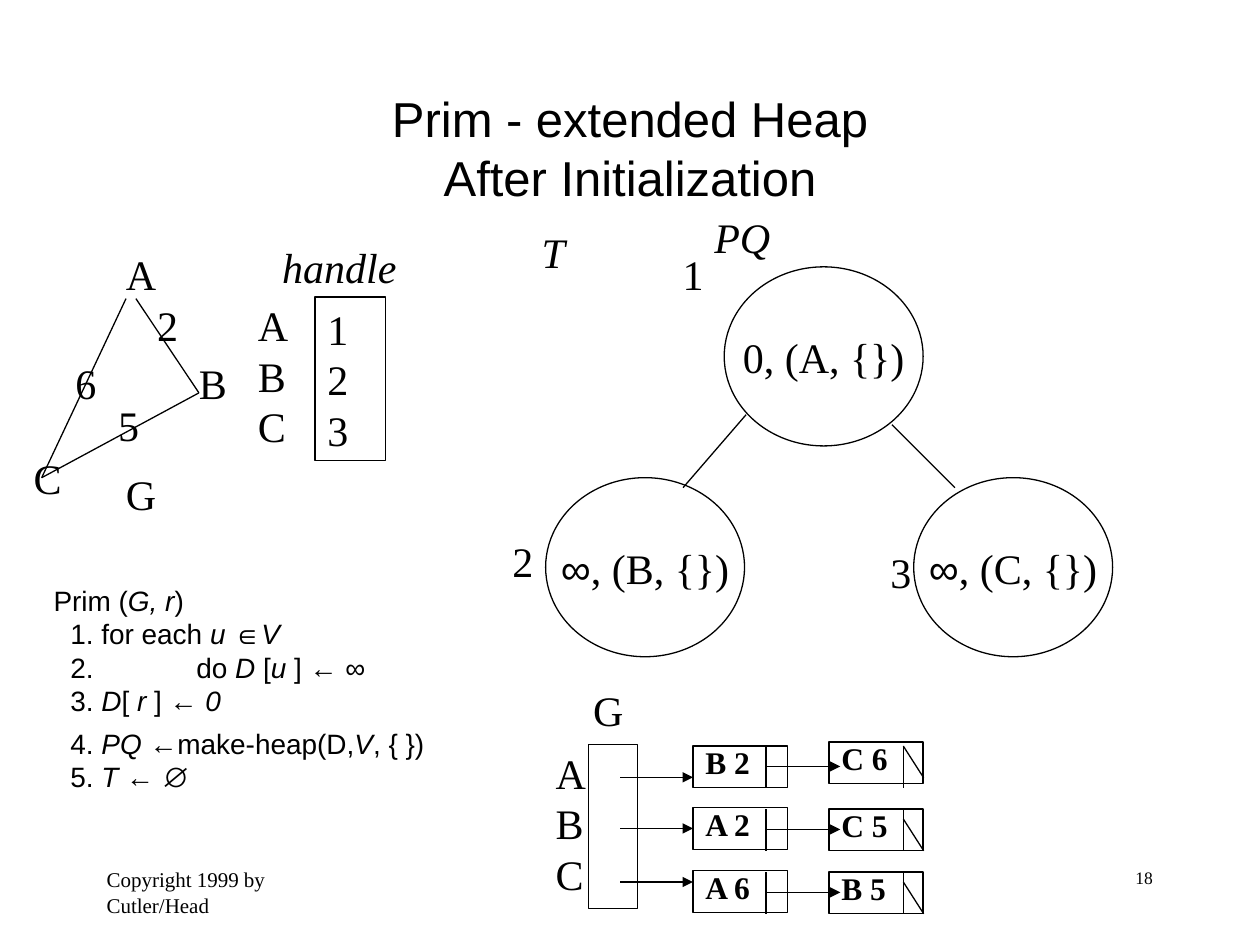
"""Build the slide on Prim's algorithm with an extended heap after set-up."""
from dataclasses import dataclass
from typing import Optional

from lxml.etree import SubElement
from pptx import Presentation
from pptx.dml.color import RGBColor
from pptx.enum.shapes import MSO_CONNECTOR, MSO_SHAPE
from pptx.enum.text import MSO_ANCHOR, PP_ALIGN
from pptx.oxml.ns import qn
from pptx.util import Cm, Pt

HUES = {"ink": "000000"}
INK = RGBColor.from_string(HUES["ink"])
ROMAN, SANS = "Times New Roman", "Arial"


@dataclass(frozen=True)
class Style:
    """Look of a text block."""
    size: float = 24
    face: str = ROMAN
    bold: bool = False
    ital: bool = False
    align: PP_ALIGN = PP_ALIGN.LEFT
    mid: bool = False
    wrap: bool = False
    pitch: Optional[float] = None


@dataclass(frozen=True)
class Label:
    """Text with its place in centimetres."""
    text: str
    x: float
    y: float
    w: float = 0.91
    h: float = 1.27
    style: Style = Style()


@dataclass(frozen=True)
class Node:
    """Heap node with its key and its pair."""
    key: str
    pair: str
    x: float
    y: float


@dataclass(frozen=True)
class Step:
    """Line of the code; stars enclose italics."""
    text: str
    left: float = 0.97
    gap: float = 0


@dataclass(frozen=True)
class Row:
    """Adjacency row: arrow height, two cells and the slash top."""
    arrow: float
    near: str
    near_y: float
    far: str
    far_y: float
    top: float
    slash: float


SLANT = Style(ital=True)
CELL = Style(18, bold=True, wrap=True, pitch=0.75)
ROUND = Style(align=PP_ALIGN.CENTER, mid=True)
CODE = Style(16, SANS, wrap=True)

LABELS = [
    Label("Prim - extended Heap\vAfter Initialization", 1.9, 1.07, 21.6, 3.81,
          Style(28, SANS, align=PP_ALIGN.CENTER, mid=True, wrap=True)),
    Label("handle", 5.44, 4.75, 2.95, style=SLANT),
    Label("A\nB\nC", 4.95, 5.92, 1.12, 3.3),
    Label("T", 10.67, 4.44, 0.97, style=SLANT),
    Label("PQ", 14.15, 4.14, 1.63, style=SLANT),
    Label("1", 13.51, 4.88),
    Label("2", 10.08, 10.67),
    Label("3", 17.7, 10.9),
    Label("A", 2.29, 4.88, 1.12),
    Label("B", 3.76, 7.09, 1.07),
    Label("C", 0.43, 8.99, 1.07),
    Label("2", 2.92, 5.92),
    Label("5", 2.13, 7.92),
    Label("6", 1.27, 7.09),
    Label("G", 2.29, 9.32, 1.12),
    Label("A\nB\nC", 10.95, 14.94, 1.12, 3.3),
    Label("G", 11.71, 13.67, 1.12),
    Label("18", 18.21, 17.35, 5.28,
          style=Style(10, align=PP_ALIGN.RIGHT, wrap=True)),
    Label("Copyright 1999 by Cutler/Head", 1.9, 17.35, 5.28,
          style=Style(12, wrap=True)),
]
NODES = [
    Node("0", ", (A, {})", 14.6, 5.38),
    Node("∞", ", (B, {})", 11, 9.63),
    Node("∞", ", (C, {})", 18.42, 9.63),
]
EDGES = [
    (15.04, 8.36, 13.77, 9.83),
    (17.98, 8.56, 19.25, 9.83),
    (2.54, 6.02, 0.84, 9.63),
    (2.74, 6.02, 4.01, 7.92),
    (4.01, 7.92, 0.84, 9.63),
]
STEPS = [
    Step("Prim (*G, r*)", 0.63),
    Step("1. for each *u *∈*V*"),
    Step("2.\tdo *D* [*u* ] ← ∞"),
    Step("3. *D*[ *r *] ← *0*"),
    Step("4. *PQ *←make-heap(D,*V*, { })", gap=5),
    Step("5. *T *← ∅"),
]
ROWS = [
    Row(15.67, "B 2", 15.04, "C 6", 14.96, 15.04, 15.04),
    Row(16.7, "A 2", 16.28, "C 5", 16.31, 16.31, 16.51),
    Row(17.78, "A 6", 17.55, "B 5", 17.58, 17.58, 17.78),
]


def format_para(para, style: Style) -> None:
    """Set the look of one paragraph."""
    para.alignment = style.align
    if style.pitch:
        para.line_spacing = style.pitch
    font = para.font
    font.size, font.name = Pt(style.size), style.face
    font.bold, font.italic = style.bold, style.ital
    font.color.rgb = INK


def set_frame(shape, style: Style):
    """Prepare and return the text frame."""
    frame = shape.text_frame
    frame.word_wrap = style.wrap
    frame.vertical_anchor = MSO_ANCHOR.MIDDLE if style.mid else MSO_ANCHOR.TOP
    return frame


def write(shape, text: str, style: Style) -> None:
    """Fill a shape with one paragraph a line."""
    frame = set_frame(shape, style)
    for i, line in enumerate(text.split("\n")):
        para = frame.add_paragraph() if i else frame.paragraphs[0]
        para.text = line
        format_para(para, style)


def add_box(slide, kind: MSO_SHAPE, x: float, y: float, w: float, h: float):
    """Add an outlined shape without fill."""
    shape = slide.shapes.add_shape(kind, Cm(x), Cm(y), Cm(w), Cm(h))
    shape.shadow.inherit = False
    shape.fill.background()
    shape.line.color.rgb, shape.line.width = INK, Pt(0.75)
    return shape


def add_line(slide, x: float, y: float, to_x: float, to_y: float,
             head: bool = False):
    """Add a straight line, with an arrowhead if asked."""
    line = slide.shapes.add_connector(
        MSO_CONNECTOR.STRAIGHT, Cm(x), Cm(y), Cm(to_x), Cm(to_y))
    line.line.color.rgb, line.line.width = INK, Pt(0.75)
    props = line.element.spPr
    if head:
        SubElement(props.find(qn("a:ln")), qn("a:tailEnd"), type="triangle")
    SubElement(props, qn("a:effectLst"))
    return line


def add_label(slide, label: Label) -> None:
    """Add a text box."""
    box = slide.shapes.add_textbox(
        Cm(label.x), Cm(label.y), Cm(label.w), Cm(label.h))
    write(box, label.text, label.style)


def add_node(slide, node: Node) -> None:
    """Add a heap node."""
    shape = add_box(slide, MSO_SHAPE.OVAL, node.x, node.y, 4.01, 3.61)
    para = set_frame(shape, ROUND).paragraphs[0]
    format_para(para, ROUND)
    for text in (node.key, node.pair):
        run = para.add_run()
        run.text = text
        run.font.name = SANS if text == "∞" else ROMAN


def add_code(slide) -> None:
    """Add the steps of the algorithm."""
    box = slide.shapes.add_textbox(Cm(0.2), Cm(11.63), Cm(14.4), Cm(6.15))
    frame = set_frame(box, CODE)
    for i, step in enumerate(STEPS):
        para = frame.add_paragraph() if i else frame.paragraphs[0]
        props = para._p.get_or_add_pPr()
        props.set("marL", str(Cm(step.left)))
        tabs = SubElement(props, qn("a:tabLst"))
        SubElement(tabs, qn("a:tab"), pos=str(Cm(2.54)), algn="l")
        para.space_before = Pt(step.gap)
        format_para(para, CODE)
        for j, part in enumerate(step.text.split("*")):
            if part:
                run = para.add_run()
                run.text, run.font.italic = part, j % 2 == 1


def add_row(slide, row: Row) -> None:
    """Add one linked list of the adjacency table."""
    near = add_box(slide, MSO_SHAPE.RECTANGLE, 13.97, row.near_y, 1.9, 0.84)
    far = add_box(slide, MSO_SHAPE.RECTANGLE, 16.71, row.far_y, 1.9, 0.84)
    write(near, row.near, CELL)
    write(far, row.far, CELL)
    arrow = add_line(slide, 12.5, row.arrow, 13.97, row.arrow, True)
    if abs(row.near_y + 0.42 - row.arrow) < 0.05:
        arrow.end_connect(near, 1)
    link = row.top + 0.41
    add_line(slide, 15.44, link, 16.94, link, True)
    for x in (15.44, 18.21):
        add_line(slide, x, row.top, x, row.top + 0.84)
    add_line(slide, 18.21, row.slash, 18.62, row.slash + 0.64)


def main() -> None:
    """Draw the slide and save it."""
    deck = Presentation()
    deck.slide_width, deck.slide_height = Cm(25.4), Cm(19.05)
    slide = deck.slides.add_slide(deck.slide_layouts[6])
    for label in LABELS:
        add_label(slide, label)
    table = add_box(slide, MSO_SHAPE.RECTANGLE, 6.35, 5.99, 1.42, 3.3)
    write(table, "1\n2\n3", Style(wrap=True))
    for node in NODES:
        add_node(slide, node)
    for edge in EDGES:
        add_line(slide, *edge)
    add_code(slide)
    add_box(slide, MSO_SHAPE.RECTANGLE, 11.86, 15.01, 0.99, 3.3)
    for row in ROWS:
        add_row(slide, row)
    deck.save("out.pptx")


if __name__ == "__main__":
    main()
